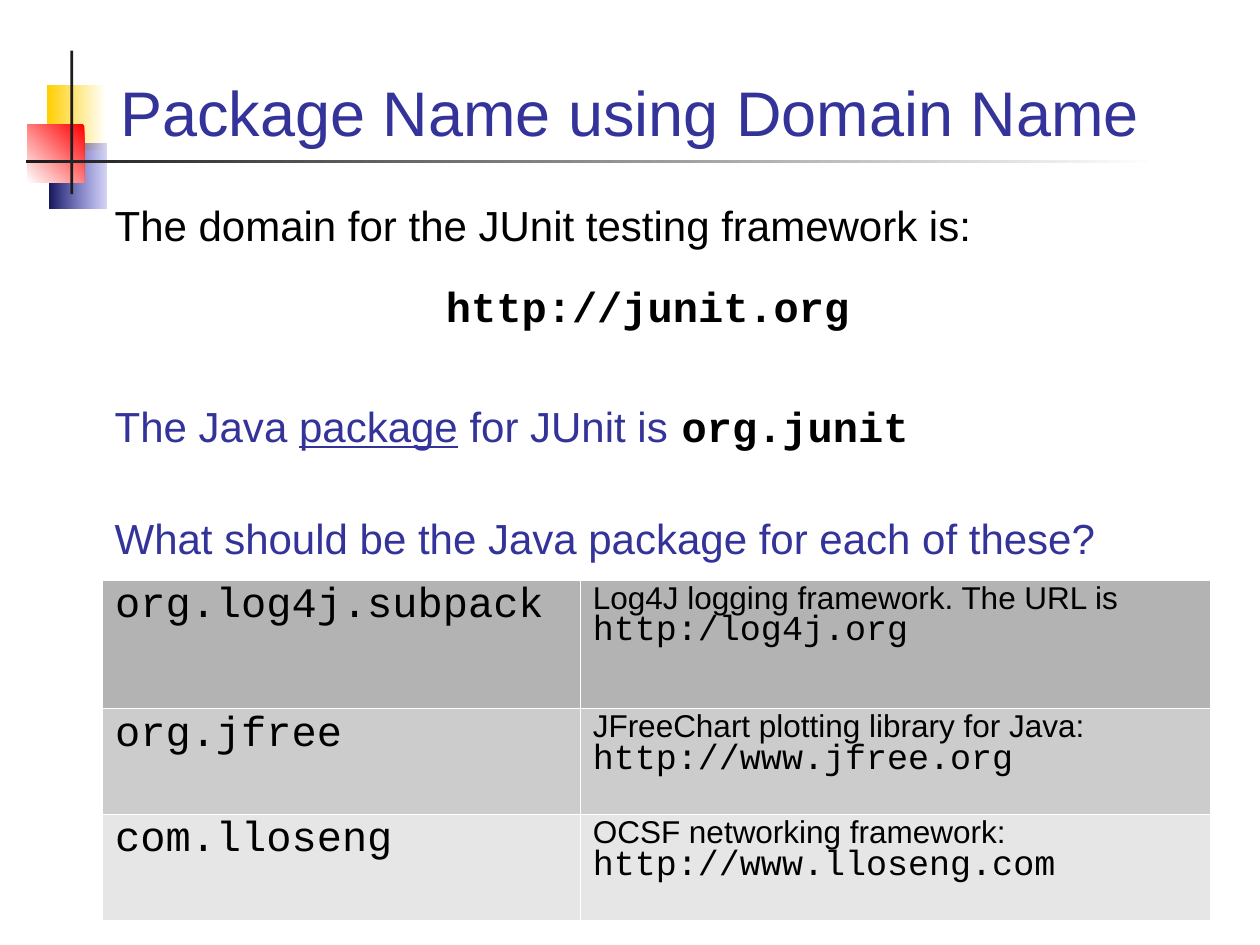
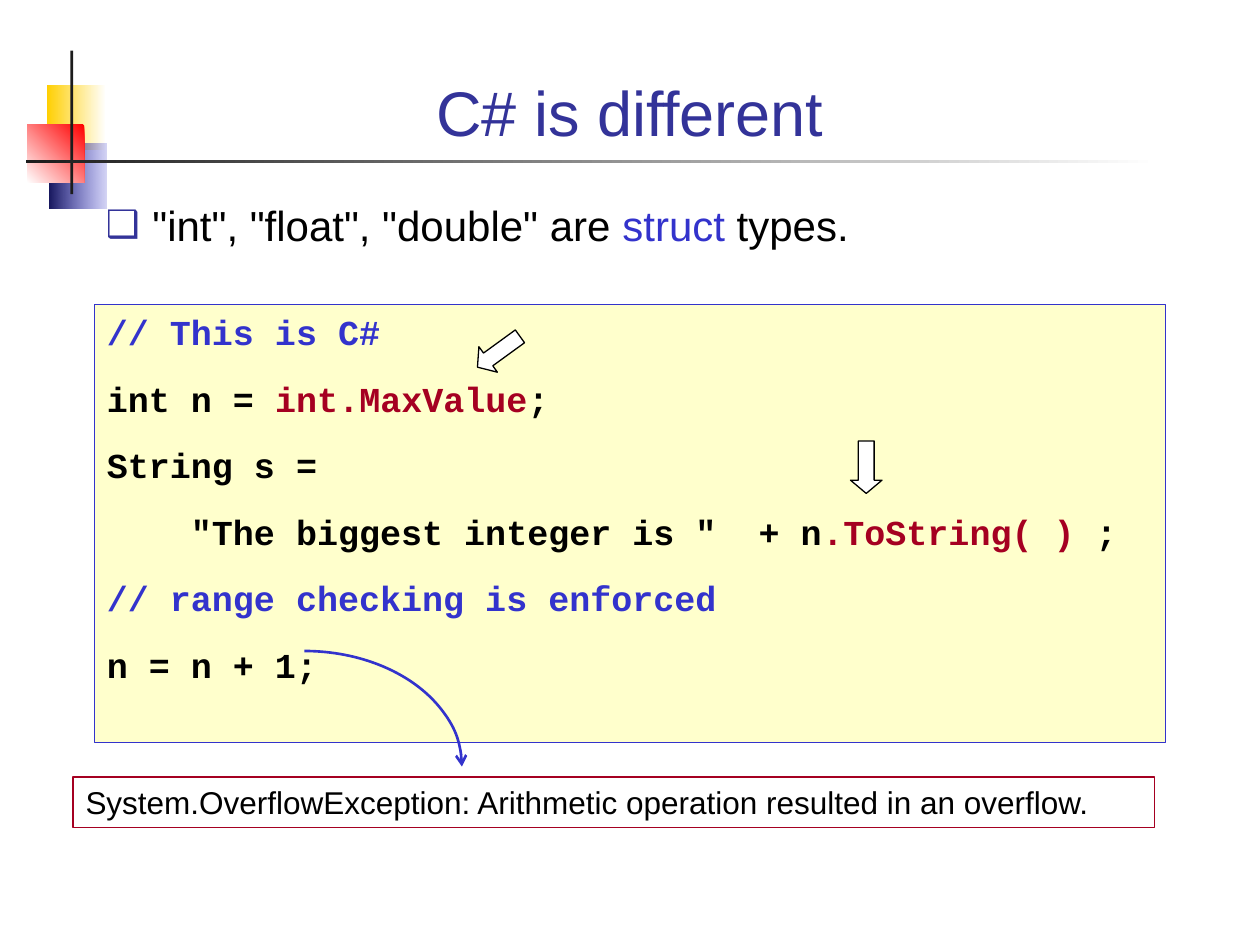
from lxml.etree import SubElement as sub
from pptx import Presentation
from pptx.dml.color import RGBColor as Rgb
from pptx.enum.shapes import MSO_SHAPE as Shape
from pptx.enum.text import MSO_ANCHOR as Anchor, MSO_AUTO_SIZE as Auto, PP_ALIGN as Align
from pptx.oxml.ns import qn
from pptx.util import Pt

HUE = {
    "white": "FFFFFF", "black": "000000", "ink": "1C1C1C", "gold": "FFCF01",
    "red": "FF0000", "navy": "17175E", "blue": "3333CC", "title": "333399",
    "wine": "A50021", "cream": "FFFFCC",
    "dark": "B3B3B3", "mid": "CCCCCC", "light": "E6E6E6",
}
SANS, MONO = "Arial", "Courier New"


def write(frame, text, size=24, hue="black", font=SANS, bold=False, under=False,
          join=False, gap=0, lead=1.0, align=Align.LEFT, mark=None, hang=0, tab=None):
    if not join:
        first = not frame.text
        para = frame.paragraphs[0] if first else frame.add_paragraph()
        para.alignment = align
        para.line_spacing = lead
        para.space_before = Pt(0 if first else gap)
        props = para._p.get_or_add_pPr()
        props.set("marL", str(Pt(hang)))
        props.set("indent", str(Pt(-hang)))
        if mark:
            sub(sub(props, qn("a:buClr")), qn("a:srgbClr"), val=HUE["title"])
            sub(props, qn("a:buSzPct"), val="90000")
            sub(props, qn("a:buChar"), char=mark)
        else:
            sub(props, qn("a:buNone"))
        if tab:
            sub(sub(props, qn("a:tabLst")), qn("a:tab"), pos=str(Pt(tab)), algn="l")
    run = frame.paragraphs[-1].add_run()
    run.text = text
    face = run.font
    face.name, face.size, face.bold, face.underline = font, Pt(size), bold, under
    face.color.rgb = Rgb.from_string(HUE[hue])


def draw(slide, kind, spot, fill=None, line=None, width=0.75):
    shape = slide.shapes.add_shape(kind, *map(Pt, spot))
    shape.shadow.inherit = False
    if fill:
        shape.fill.solid()
        shape.fill.fore_color.rgb = Rgb.from_string(HUE[fill])
    else:
        shape.fill.background()
    if line:
        shape.line.color.rgb = Rgb.from_string(HUE[line])
        shape.line.width = Pt(width)
    else:
        shape.line.fill.background()
    frame = shape.text_frame
    frame.word_wrap = True
    frame.vertical_anchor = Anchor.TOP
    return shape


deck = Presentation()
deck.slide_width, deck.slide_height = Pt(720), Pt(540)
layout = deck.slide_layouts[1]

slides, bodies = [], []
for title, spot in [
    ("Package Name using Domain Name", (58.3, 110.2, 623.5, 406)),
    ("C# is different", (53.3, 110.2, 594.7, 351.4)),
]:
    slide = deck.slides.add_slide(layout)
    head, body = slide.placeholders
    for holder, place in [(head, (48.2, 20.2, 623.5, 68.4)), (body, spot)]:
        holder.left, holder.top, holder.width, holder.height = map(Pt, place)
        holder.text_frame.auto_size = Auto.NONE
    head.text_frame.vertical_anchor = Anchor.BOTTOM
    write(head.text_frame, title, size=36, hue="title", align=Align.CENTER)
    slides.append(slide)
    bodies.append(body.text_frame)
names, sharp = slides

for num, (spot, start, end, angle, alpha) in enumerate([
    ((26.8, 48.4, 33.8, 37.4), "white", "gold", 180, 100),
    ((28.1, 82, 32.7, 37.4), "blue", "navy", 180, 20),
    ((15.6, 71.2, 32.6, 33.4), "red", "white", 225, 100),
    ((40.2, 29, 1.6, 82), "ink", "ink", 180, 100),
    ((15, 91.5, 646.6, 1.4), "white", "ink", 180, 100),
]):
    deco = draw(names, Shape.RECTANGLE, spot, start)
    if start != end:
        deco.fill.gradient()
        deco.fill.gradient_angle = angle
        for stop, hue in zip(deco.fill.gradient_stops, (start, end)):
            stop.color.rgb = Rgb.from_string(HUE[hue])
        if alpha < 100:
            tint = next(deco.element.iter(qn("a:srgbClr")))
            sub(tint, qn("a:alpha"), val=str(alpha * 1000))
    deco.element.nvSpPr.cNvPr.set("id", str(20 + num))
    layout.shapes.element.append(deco.element)

body = bodies[0]
write(body, "The domain for the JUnit testing framework is:")
write(body, "http://junit.org", font=MONO, bold=True, gap=17.5, align=Align.CENTER)
write(body, "The Java ", hue="title", gap=40, tab=344)
write(body, "package", hue="title", under=True, join=True)
write(body, " for JUnit is\t", hue="title", join=True)
write(body, "org.junit", font=MONO, bold=True, join=True)
write(body, "What should be the Java package for each of these?", hue="title", gap=35)

rows = [
    ("org.log4j.subpack", "Log4J logging framework. The URL is ", "http:/log4j.org", "dark", 73.4),
    ("org.jfree", "JFreeChart plotting library for Java:", "http://www.jfree.org", "mid", 60.4),
    ("com.lloseng", "OCSF networking framework:", "http://www.lloseng.com", "light", 60.4),
]
grid = names.shapes.add_table(3, 2, Pt(58.6), Pt(331.4), Pt(633), Pt(194.2)).table
grid.first_row = grid.horz_banding = False
grid.columns[0].width, grid.columns[1].width = Pt(273), Pt(360)
for row, (pack, about, link, fill, height) in zip(grid.rows, rows):
    row.height = Pt(height)
    for cell in row.cells:
        for side in ("lnL", "lnR", "lnT", "lnB"):
            edge = sub(cell._tc.get_or_add_tcPr(), qn("a:" + side), w=str(Pt(0.06)))
            sub(sub(edge, qn("a:solidFill")), qn("a:srgbClr"), val=HUE["white"])
        cell.fill.solid()
        cell.fill.fore_color.rgb = Rgb.from_string(HUE[fill])
    left, right = (cell.text_frame for cell in row.cells)
    write(left, pack, font=MONO, lead=0.83)
    write(right, about, size=18, lead=0.81)
    write(right, link, size=20, font=MONO, lead=0.84, join=about.endswith(" "))

body = bodies[1]
write(body, '"int", "float", "double" are ', mark="❑", hang=26.6)
write(body, "struct", hue="blue", join=True)
write(body, " types.", join=True)

code = draw(sharp, Shape.RECTANGLE, (54, 174, 612, 250.4), "cream", "blue").text_frame
for line in [
    [("// This is C#", "blue")],
    [("int n = ", "black"), ("int.MaxValue", "wine"), (";", "black")],
    [("String s =", "black")],
    [('    "The biggest integer is "  + n', "black"), (".ToString( )", "wine"), (" ;", "black")],
    [("// range checking is enforced", "blue")],
    [("n = n + 1;", "black")],
]:
    for num, (text, hue) in enumerate(line):
        write(code, text, size=20, hue=hue, font=MONO, bold=True, gap=14, join=num > 0)

error = draw(sharp, Shape.RECTANGLE, (41.8, 444, 618, 28.8), line="wine").text_frame
write(error, "System.OverflowException: Arithmetic operation resulted in an overflow.", size=18)

curve = draw(sharp, Shape.ARC, (84, 372, 180, 132), line="blue", width=1.5)
sub(curve.line._get_or_add_ln(), qn("a:tailEnd"), type="arrow")

for kind, spot, turn in [
    (Shape.DOWN_ARROW, (486, 252, 18, 30), 0),
    (Shape.LEFT_ARROW, (270, 192, 30, 18), 324),
]:
    arrow = draw(sharp, kind, spot, "white", "black")
    arrow.rotation = turn
    arrow.adjustments[0], arrow.adjustments[1] = 0.5, 0.42

deck.save("out.pptx")
